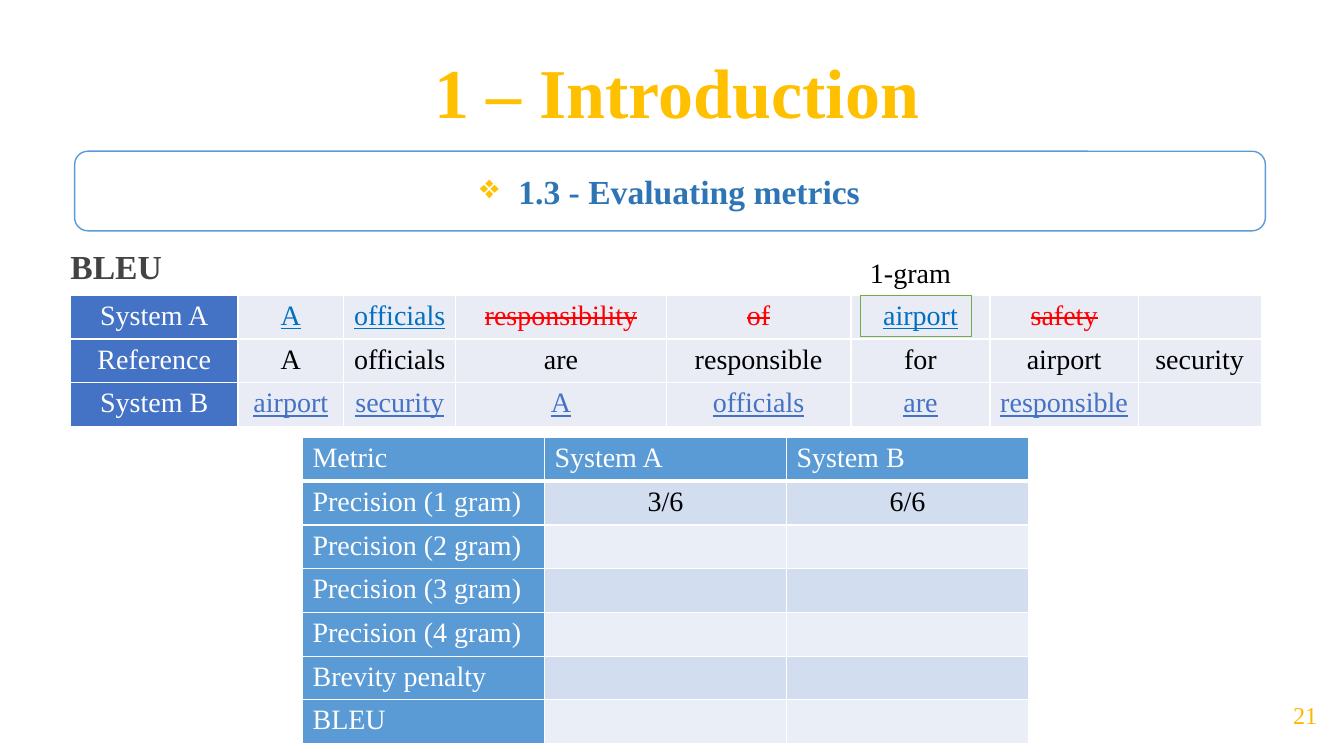
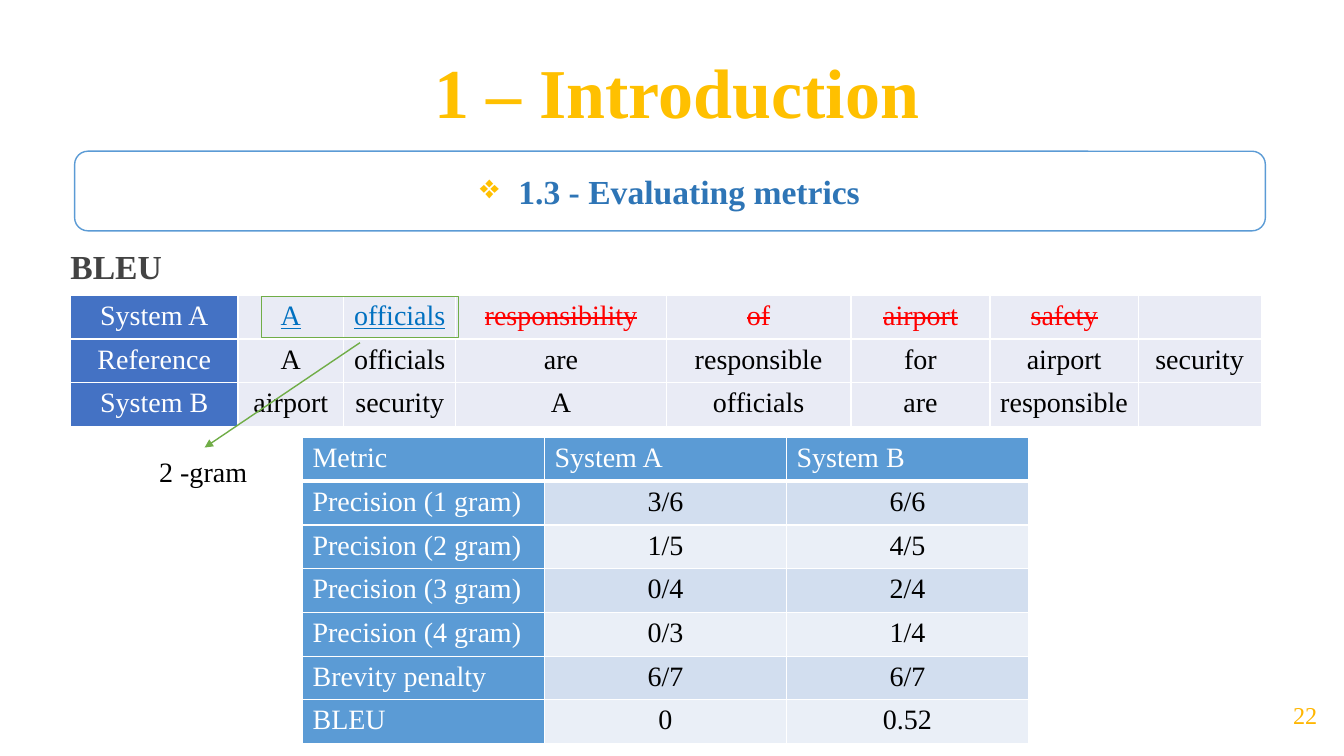
import pptx
import pptx.util
import pptx.dml.color
import pptx.enum.shapes
import pptx.enum.text
from lxml import etree
from pptx.oxml.ns import qn

Inches = pptx.util.Inches
Pt = pptx.util.Pt
Shape = pptx.enum.shapes.MSO_SHAPE
Align = pptx.enum.text.PP_ALIGN
Anchor = pptx.enum.text.MSO_ANCHOR

GOLD, GREEN, BLUE, WHITE, BLACK = "FFC000", "70AD47", "5B9BD5", "FFFFFF", "000000"


def rgb(code):
    return pptx.dml.color.RGBColor.from_string(code)


def write(frame, text, size, color, align=Align.LEFT, bold=False, mark=""):
    """Put one run in the first paragraph; mark is "under", "strike" or empty."""
    para = frame.paragraphs[0]
    para.alignment = align
    span = para.add_run()
    span.text = text
    span.font.name = "Times New Roman"
    span.font.size = Pt(size)
    span.font.bold = bold
    span.font.color.rgb = rgb(color)
    if mark == "under":
        span.font.underline = True
    elif mark == "strike":
        span._r.get_or_add_rPr().set("strike", "sngStrike")
    return para


# Shared content: left, top, width, height, top inset, anchor, text style
LABELS = [
    ("BLEU", (0.54, 2.28, 12.12, 4.56), 0.16, Anchor.TOP, 24, "434343", Align.LEFT, True, 0.06),
    ("{number}", (12.55, 6.69, 0.79, 0.81), 0.1, Anchor.MIDDLE, 17.3, "FFB600", Align.CENTER, False, 0),
    ("1 – Introduction", (0.7, 0.4, 11.97, 0.89), 0.2, Anchor.MIDDLE, 50, GOLD, Align.CENTER, True, 0.06),
]
SENTENCE_WIDTHS = [1.66, 1.05, 1.11, 2.09, 1.83, 1.38, 1.47, 1.22]
SENTENCES = [
    ["System A", "A", "officials", "responsibility", "of", "airport", "safety", ""],
    ["Reference", "A", "officials", "are", "responsible", "for", "airport", "security"],
    ["System B", "airport", "security", "A", "officials", "are", "responsible", ""],
]
METRICS = ["Precision (1 gram)", "Precision (2 gram)", "Precision (3 gram)",
           "Precision (4 gram)", "Brevity penalty", "BLEU"]
ROW_HEIGHT = 0.41

# What differs from slide to slide
SLIDES = [
    {"number": 21, "matched": {"A", "officials", "airport"}, "system_b": ("4472C4", "under"),
     "scores": [("3/6", "6/6")] + [("", "")] * 5,
     "gram": "1-gram", "gram_at": (8.53, 2.49), "frame": (8.53, 2.93, 1.11, 0.41), "arrow": None},
    {"number": 22, "matched": {"A", "officials"}, "system_b": (BLACK, ""),
     "scores": [("3/6", "6/6"), ("1/5", "4/5"), ("0/4", "2/4"),
                ("0/3", "1/4"), ("6/7", "6/7"), ("0", "0.52")],
     "gram": "2 -gram", "gram_at": (1.48, 4.46), "frame": (2.59, 2.94, 1.96, 0.41),
     "arrow": (3.57, 3.4, 2.03, 4.44)},
]

deck = pptx.Presentation()
deck.slide_width, deck.slide_height = Inches(13.33), Inches(7.5)

for content in SLIDES:
    page = deck.slides.add_slide(deck.slide_layouts[6])

    # Heading, page number and title
    for text, place, inset, anchor, size, color, align, bold, indent in LABELS:
        box = page.shapes.add_textbox(*map(Inches, place))
        frame = box.text_frame
        frame.word_wrap = True
        frame.vertical_anchor = anchor
        frame.margin_left = frame.margin_right = frame.margin_bottom = Inches(0.1)
        frame.margin_top = Inches(inset)
        para = write(frame, text.format(number=content["number"]), size, color, align, bold)
        para._p.get_or_add_pPr().set("marL", str(Inches(indent)))

    # Section band
    band = page.shapes.add_shape(Shape.ROUNDED_RECTANGLE, *map(Inches, (0.74, 1.5, 11.81, 0.79)))
    band.shadow.inherit = False
    band.fill.solid()
    band.fill.fore_color.rgb = rgb(WHITE)
    band.line.color.rgb = rgb(BLUE)
    band.line.width = Pt(1)
    band.text_frame.word_wrap = True
    band.text_frame.vertical_anchor = Anchor.MIDDLE
    para = write(band.text_frame, "1.3 - Evaluating metrics", 24, "2E75B6", Align.CENTER, True)
    props = para._p.get_or_add_pPr()
    props.set("marL", str(Inches(0.38)))
    props.set("indent", str(Inches(-0.38)))
    bullet_color = etree.SubElement(props, qn("a:buClr"))
    etree.SubElement(bullet_color, qn("a:srgbClr")).set("val", GOLD)
    etree.SubElement(props, qn("a:buChar")).set("char", "❖")

    # Cells of the sentence table: text, colour, alignment, mark, fill
    sentence_rows = []
    for number, words in enumerate(SENTENCES):
        cells = [(words[0], WHITE, Align.CENTER, "", "4472C4")]
        for word in words[1:]:
            color, mark = BLACK, ""
            if number == 0:
                color, mark = ("0070C0", "under") if word in content["matched"] else ("FF0000", "strike")
            elif number == 2:
                color, mark = content["system_b"]
            cells.append((word, color, Align.CENTER, mark, "E9EBF5"))
        sentence_rows.append(cells)

    # Cells of the score table
    score_rows = [[(text, WHITE, Align.LEFT, "", BLUE) for text in ("Metric", "System A", "System B")]]
    for number, (metric, scores) in enumerate(zip(METRICS, content["scores"])):
        stripe = "EAEFF7" if number % 2 else "D2DEEF"
        score_rows.append([(metric, WHITE, Align.LEFT, "", BLUE)]
                          + [(score, BLACK, Align.CENTER, "", stripe) for score in scores])

    # Both tables
    for left, top, widths, rows, header_rule in [
            (0.7, 2.93, SENTENCE_WIDTHS, sentence_rows, 1), (3, 4.34, [2.4] * 3, score_rows, 3)]:
        table = page.shapes.add_table(len(rows), len(widths), Inches(left), Inches(top),
                                      Inches(sum(widths)), Inches(ROW_HEIGHT * len(rows))).table
        for column, width in zip(table.columns, widths):
            column.width = Inches(width)
        for r, cells in enumerate(rows):
            table.rows[r].height = Inches(ROW_HEIGHT)
            for c, (text, color, align, mark, fill) in enumerate(cells):
                cell = table.cell(r, c)
                for side in ("lnL", "lnR", "lnT", "lnB"):
                    weight = header_rule if (r, side) == (0, "lnB") else 1
                    edge = etree.SubElement(cell._tc.get_or_add_tcPr(), qn("a:" + side))
                    edge.set("w", str(Pt(weight)))
                    paint = etree.SubElement(edge, qn("a:solidFill"))
                    etree.SubElement(paint, qn("a:srgbClr")).set("val", WHITE)
                cell.fill.solid()
                cell.fill.fore_color.rgb = rgb(fill)
                if text:
                    write(cell.text_frame, text, 20, color, align, mark=mark)

    # Matched n-gram: label, frame and arrow
    box = page.shapes.add_textbox(*map(Inches, content["gram_at"] + (1.11, 0.44)))
    box.text_frame.word_wrap = True
    write(box.text_frame, content["gram"], 20, BLACK)
    gram_frame = page.shapes.add_shape(Shape.RECTANGLE, *map(Inches, content["frame"]))
    gram_frame.shadow.inherit = False
    gram_frame.fill.background()
    gram_frame.line.color.rgb = rgb(GREEN)
    gram_frame.line.width = Pt(0.75)
    if content["arrow"]:
        arrow = page.shapes.add_connector(pptx.enum.shapes.MSO_CONNECTOR.STRAIGHT,
                                          *map(Inches, content["arrow"]))
        arrow.line.color.rgb = rgb(GREEN)
        arrow.line.width = Pt(1)
        etree.SubElement(arrow.line._get_or_add_ln(), qn("a:tailEnd")).set("type", "triangle")
        etree.SubElement(arrow._element.spPr, qn("a:effectLst"))

deck.save("out.pptx")
